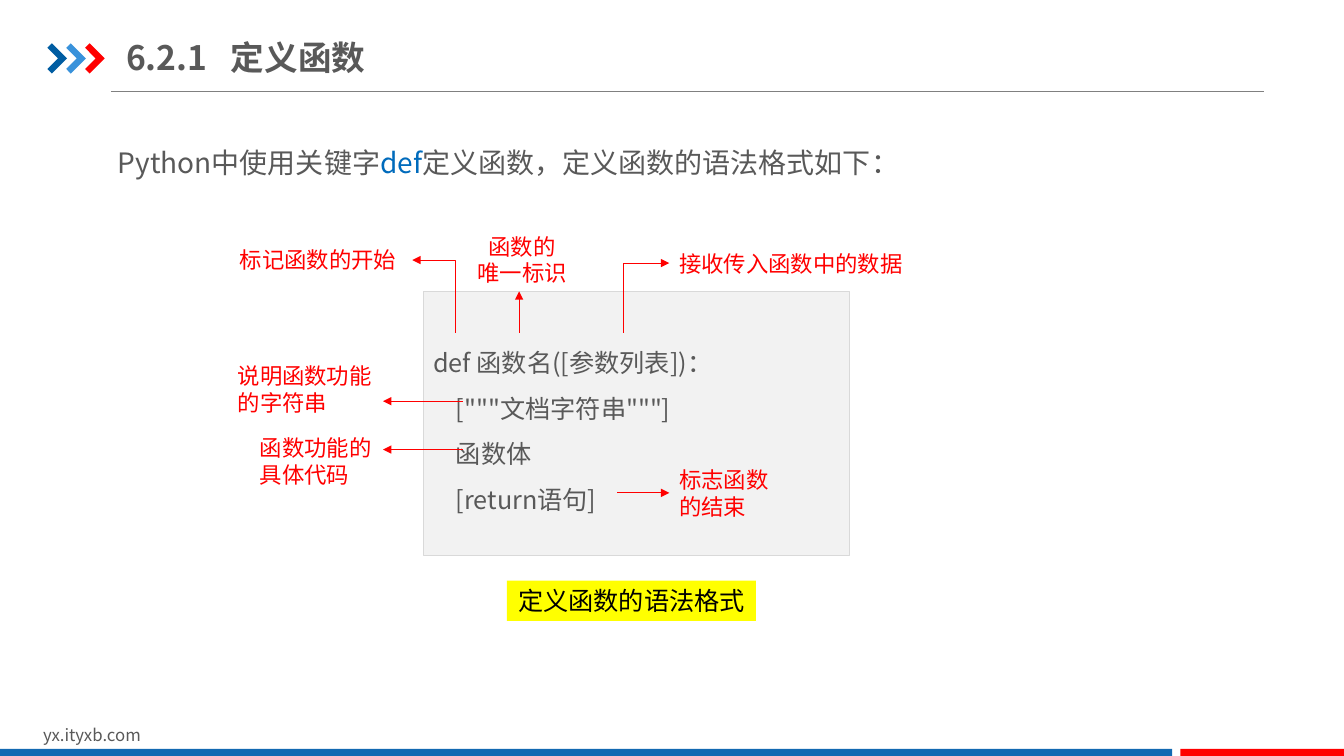
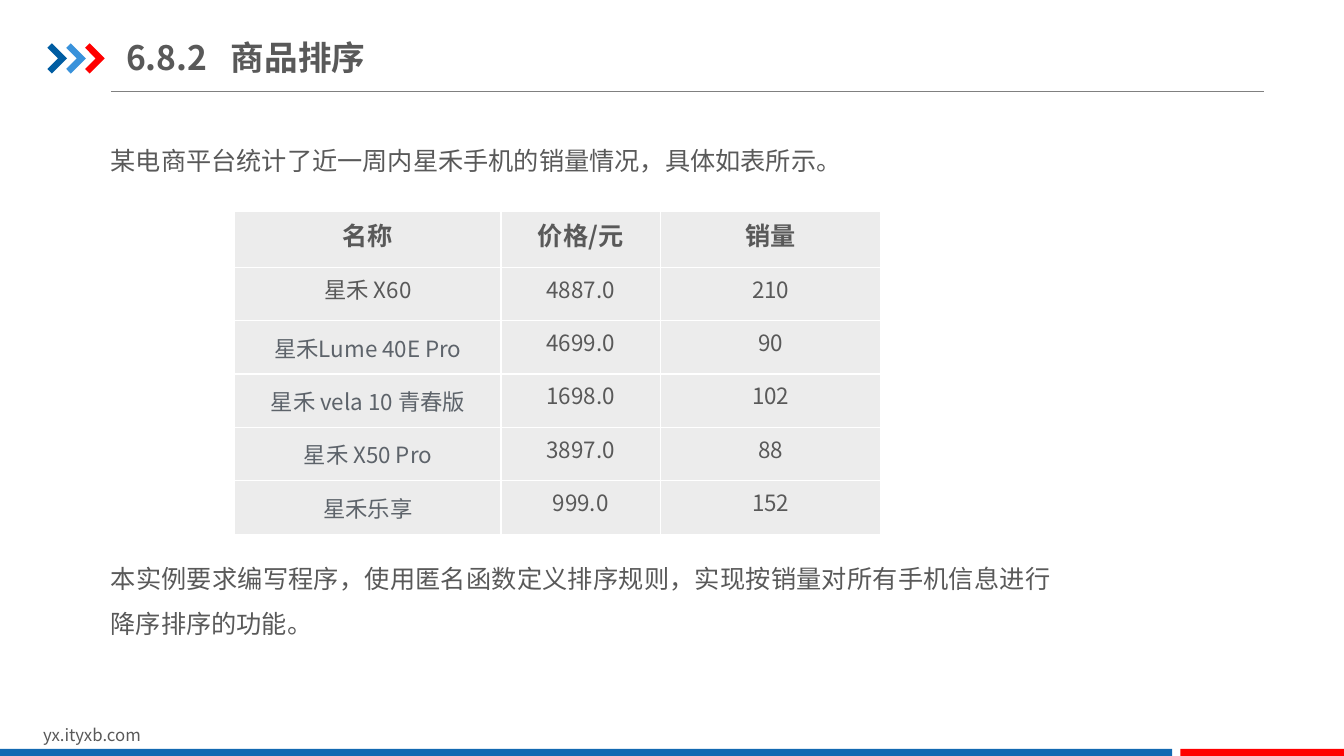
from dataclasses import dataclass, replace
from typing import NamedTuple, Sequence

from lxml import etree
from pptx import Presentation
from pptx.dml.color import RGBColor
from pptx.enum.shapes import MSO_CONNECTOR, MSO_SHAPE
from pptx.enum.text import MSO_ANCHOR, MSO_AUTO_SIZE, PP_ALIGN
from pptx.oxml.ns import qn
from pptx.util import Emu, Inches, Pt

LINE, BENT = MSO_CONNECTOR.STRAIGHT, MSO_CONNECTOR.ELBOW
RECT = MSO_SHAPE.RECTANGLE
TOP, MID = MSO_ANCHOR.TOP, MSO_ANCHOR.MIDDLE
LEFT, CENTER, FULL = PP_ALIGN.LEFT, PP_ALIGN.CENTER, PP_ALIGN.JUSTIFY
FIXED = MSO_AUTO_SIZE.NONE

# Every length is counted in cells of a square grid.
CELL = Inches(0.1)
WIDE, HIGH = 133.33, 75
FONT = "Noto Sans CJK SC"
HEX = {
    "text": "595959", "soft": "5D636A", "rule": "808080", "word": "006BBC",
    "navy": "005DA2", "sky": "3992DB", "red": "FF0000", "band": "1369B2",
    "panel": "F2F2F2", "edge": "D9D9D9", "cell": "ECECEC",
    "mark": "FFFF00", "black": "000000", "white": "FFFFFF",
}


class Box(NamedTuple):
    x: float
    y: float
    w: float
    h: float


class Spot(NamedTuple):
    x: float
    y: float


@dataclass(frozen=True)
class Style:
    size: float = 18
    color: str = "text"
    bold: bool = False
    align: PP_ALIGN = LEFT
    space: float = 1.0
    tab: float = 0


@dataclass(frozen=True)
class Label:
    box: Box
    lines: Sequence[str]
    align: PP_ALIGN = LEFT


@dataclass(frozen=True)
class Arrow:
    tip: Spot
    tail: Spot
    kind: MSO_CONNECTOR = LINE


TITLE = Style(24, bold=True, tab=10.4)
BODY = Style(align=FULL, space=1.5)
CODE = Style(space=1.5)
NOTE = Style(16, "red")
HEAD = Style(bold=True, align=CENTER)
DATA = Style(16, align=CENTER)

LABELS = (
    Label(Box(22.8, 23.3, 18.1, 4.9), ["标记函数的开始"]),
    Label(Box(66.4, 23.3, 24.2, 5.6), ["接收传入函数中的数据"]),
    Label(Box(45.9, 23.3, 11.8, 4.9), ["函数的", "唯一标识"], CENTER),
    Label(Box(22.6, 35.4, 15.5, 6.4), ["说明函数功能", "的字符串"]),
    Label(Box(24.8, 42.5, 13.2, 6.4), ["函数功能的", "具体代码"]),
    Label(Box(66.4, 46.5, 11.8, 4.9), ["标志函数的结束"]),
)
ARROWS = (
    Arrow(Spot(40.9, 25.8), Spot(45.2, 33), BENT),
    Arrow(Spot(66.4, 26.1), Spot(61.9, 33), BENT),
    Arrow(Spot(51.5, 28.9), Spot(51.5, 33)),
    Arrow(Spot(38, 39.8), Spot(45.9, 39.8)),
    Arrow(Spot(38, 44.6), Spot(45.9, 44.6)),
    Arrow(Spot(66.4, 48.9), Spot(61.2, 48.9)),
)
SYNTAX = (
    "def 函数名([参数列表])：",
    '    ["""文档字符串"""]',
    "    函数体",
    "    [return语句]",
)
SALES = (
    ("名称", "价格/元", "销量"),
    ("星禾 X60", "4887.0", "210"),
    ("星禾Lume 40E Pro", "4699.0", "90"),
    ("星禾 vela 10 青春版", "1698.0", "102"),
    ("星禾 X50 Pro", "3897.0", "88"),
    ("星禾乐享", "999.0", "152"),
)
COLS = (26.4, 15.8, 21.9)
ROWS = (5.5,) + (5.3,) * 5


def grid(*counts: float) -> list[Emu]:
    """Turn counts of cells into lengths."""
    return [Emu(round(n * CELL)) for n in counts]


def rgb(name: str) -> RGBColor:
    return RGBColor.from_string(HEX[name])


def write(frame, lines: Sequence[str], style: Style, accent: str = "") -> None:
    """Fill a text frame; the accent word gets its own colour."""
    for i, line in enumerate(lines):
        para = frame.add_paragraph() if i else frame.paragraphs[0]
        for part in line.partition(accent) if accent else (line,):
            run = para.add_run()
            run.text = part
            if part == accent:
                run.font.color.rgb = rgb("word")
        props = para._p.get_or_add_pPr()
        if style.tab:
            tabs = etree.SubElement(props, qn("a:tabLst"))
            stop = str(grid(style.tab)[0])
            etree.SubElement(tabs, qn("a:tab"), pos=stop, algn="l")
        para.alignment = style.align
        para.line_spacing = style.space
        font = para.font
        font.size, font.bold, font.name = Pt(style.size), style.bold, FONT
        font.color.rgb = rgb(style.color)
        east = etree.SubElement(props.find(qn("a:defRPr")), qn("a:ea"))
        east.set("typeface", FONT)


def text(slide, box: Box, lines: Sequence[str], style: Style,
         anchor: MSO_ANCHOR = TOP, wrap: bool = True, accent: str = "") -> None:
    frame = slide.shapes.add_textbox(*grid(*box)).text_frame
    frame.word_wrap, frame.vertical_anchor = wrap, anchor
    write(frame, lines, style, accent)


def paint(shape, fill: str, edge: str = "") -> None:
    shape.shadow.inherit = False
    shape.fill.solid()
    shape.fill.fore_color.rgb = rgb(fill)
    if edge:
        shape.line.color.rgb = rgb(edge)
        shape.line.width = Pt(0.25)
    else:
        shape.line.fill.background()


def rect(slide, box: Box, fill: str, edge: str = ""):
    shape = slide.shapes.add_shape(RECT, *grid(*box))
    paint(shape, fill, edge)
    return shape


def link(slide, start: Spot, end: Spot, color: str,
         kind: MSO_CONNECTOR = LINE, head: bool = False) -> None:
    """Draw a line; a head sits at its start, a bent line has one corner."""
    line = slide.shapes.add_connector(kind, *grid(*start, *end))
    line.line.color.rgb = rgb(color)
    line.line.width = Pt(0.75)
    props = line.element.spPr
    if head:
        etree.SubElement(props.find(qn("a:ln")), qn("a:headEnd"),
                         type="triangle")
    if kind == BENT:
        props.find(qn("a:prstGeom")).set("prst", "bentConnector2")
    etree.SubElement(props, qn("a:effectLst"))


def chevron(slide, x: float, color: str) -> None:
    top, mid, low = 4.3, 5.8, 7.3
    points = [(x, 4.75), (x + 0.45, top), (x + 1.95, mid),
              (x + 0.45, low), (x, 6.85), (x + 1.05, mid)]
    spots = [tuple(grid(*point)) for point in points]
    pen = slide.shapes.build_freeform(*spots[0], scale=1.0)
    pen.add_line_segments(spots[1:], close=True)
    paint(pen.convert_to_shape(), color)


def page(deck, title: str):
    """Add a slide with the shared title, rule, bands and footer."""
    slide = deck.slides.add_slide(deck.slide_layouts[5])
    link(slide, Spot(11, 9.1), Spot(125.4, 9.1), "rule")
    for i, color in enumerate(("navy", "sky", "red")):
        chevron(slide, 4.7 + 1.87 * i, color)
    text(slide, Box(3.3, 71.4, 31.8, 3), ["yx.ityxb.com"], Style(12))
    rect(slide, Box(0, 74.3, 116.3, 0.9), "band")
    rect(slide, Box(117.1, 74.3, WIDE - 117.1, 0.9), "red")

    head = slide.shapes.title
    head.left, head.top, head.width, head.height = grid(12.5, 2.9, 50.2, 5.5)
    frame = head.text_frame
    frame.auto_size, frame.vertical_anchor = FIXED, MID
    frame.margin_left = frame.margin_right = 0
    frame.margin_top = frame.margin_bottom = grid(0.7)[0]
    write(frame, [title], TITLE)
    return slide


def syntax(deck) -> None:
    slide = page(deck, "6.2.1\t定义函数")
    intro = "Python中使用关键字def定义函数，定义函数的语法格式如下："
    text(slide, Box(10.7, 12.3, 113.5, 5.5), [intro],
         replace(BODY, size=20), accent="def")

    panel = rect(slide, Box(42, 28.9, 42.3, 26.2), "panel", "edge").text_frame
    panel.vertical_anchor = MID
    write(panel, SYNTAX, CODE)
    for label in LABELS:
        text(slide, label.box, label.lines, replace(NOTE, align=label.align),
             MID, wrap=len(label.lines) == 1)
    for arrow in ARROWS:
        link(slide, arrow.tip, arrow.tail, "red", arrow.kind, head=True)

    note = rect(slide, Box(50.3, 57.6, 24.7, 4), "mark").text_frame
    note.word_wrap, note.vertical_anchor = False, TOP
    write(note, ["定义函数的语法格式"], Style(color="black", align=CENTER))


def border(cell) -> None:
    props = cell._tc.get_or_add_tcPr()
    for side in "LRTB":
        line = etree.SubElement(props, qn(f"a:ln{side}"), w=str(Pt(1)))
        fill = etree.SubElement(line, qn("a:solidFill"))
        etree.SubElement(fill, qn("a:srgbClr"), val=HEX["white"])


def table(slide, left: float, top: float) -> None:
    box = grid(left, top, sum(COLS), sum(ROWS))
    goods = slide.shapes.add_table(len(ROWS), len(COLS), *box).table
    goods.first_row = goods.horz_banding = False
    for col, width in zip(goods.columns, grid(*COLS)):
        col.width = width
    for row, height in zip(goods.rows, grid(*ROWS)):
        row.height = height
    for r, values in enumerate(SALES):
        for c, value in enumerate(values):
            cell = goods.cell(r, c)
            border(cell)
            cell.fill.solid()
            cell.fill.fore_color.rgb = rgb("cell")
            style = DATA if r else HEAD
            if r > 1 and c == 0:
                style = replace(DATA, color="soft")
                cell.vertical_anchor = MID
                cell.margin_left = cell.margin_right = grid(0.7)[0]
                cell.margin_top = cell.margin_bottom = 0
            write(cell.text_frame, [value], style)


def sales(deck) -> None:
    slide = page(deck, "6.8.2\t商品排序")
    text(slide, Box(10, 12.4, 81.1, 5),
         ["某电商平台统计了近一周内星禾手机的销量情况，具体如表所示。"], BODY)
    table(slide, 23.3, 21)
    task = ("本实例要求编写程序，使用匿名函数定义排序规则，"
            "实现按销量对所有手机信息进行降序排序的功能。")
    text(slide, Box(10, 53.9, 95.3, 9.6), [task], BODY)


def main() -> None:
    deck = Presentation()
    deck.slide_width, deck.slide_height = grid(WIDE, HIGH)
    syntax(deck)
    sales(deck)
    deck.save("out.pptx")


if __name__ == "__main__":
    main()
